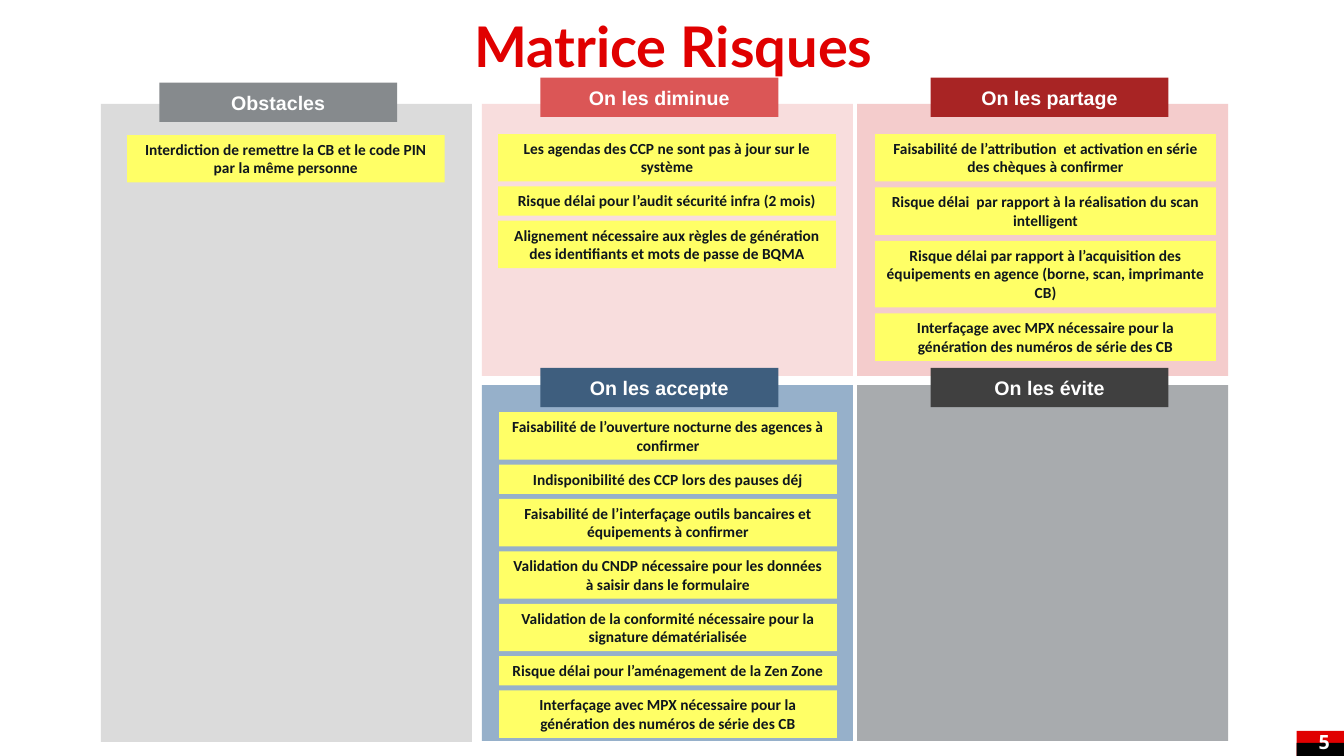
from dataclasses import dataclass

from pptx import Presentation
from pptx.dml.color import RGBColor
from pptx.enum.shapes import MSO_SHAPE as Preset
from pptx.enum.text import MSO_ANCHOR as Anchor, MSO_AUTO_SIZE as AutoSize, PP_ALIGN as Align
from pptx.shapes.autoshape import Shape
from pptx.slide import Slide
from pptx.util import Emu, Pt

EMU_PER_PX = 9144
HEADER_WIDTH, HEADER_HEIGHT = 236, 39
NOTE_HEIGHTS = {1: 29, 2: 47, 3: 66}
RED, BLACK, WHITE = "E00000", "000000", "FFFFFF"
NOTE_FILL, NOTE_INK = "FFFF66", "0F161D"


@dataclass(frozen=True)
class Box:
    left: int
    top: int
    width: int
    height: int


@dataclass(frozen=True)
class Note:
    text: str
    lines: int = 2


@dataclass(frozen=True)
class Quadrant:
    title: str
    panel: Box
    panel_fill: str
    header_left: int
    header_top: int
    header_fill: str
    note_left: int = 0
    note_top: int = 0
    note_width: int = 0
    note_gap: int = 5
    notes: tuple[Note, ...] = ()


INTERFACING = Note("Interfaçage avec MPX nécessaire pour la génération des numéros de série des CB")

QUADRANTS = (
    Quadrant("Obstacles", Box(100, 103, 368, 633), "DBDBDB", 158, 82, "868A8D", 126, 134, 315, 5, (
        Note("Interdiction de remettre la CB et le code PIN par la même personne"),
    )),
    Quadrant("On les diminue", Box(478, 103, 368, 270), "F8DDDD", 536, 77, "DB5656", 494, 133, 335, 5, (
        Note("Les agendas des CCP ne sont pas à jour sur le système"),
        Note("Risque délai pour l’audit sécurité infra (2 mois)", 1),
        Note("Alignement nécessaire aux règles de génération des identifiants et mots de passe de BQMA"),
    )),
    Quadrant("On les partage", Box(850, 103, 368, 270), "F4CCCC", 923, 77, "A82424", 868, 133, 338, 6, (
        Note("Faisabilité de l’attribution  et activation en série des chèques à confirmer"),
        Note("Risque délai  par rapport à la réalisation du scan intelligent"),
        Note("Risque délai par rapport à l’acquisition des équipements en agence "
             "(borne, scan, imprimante CB)", 3),
        INTERFACING,
    )),
    Quadrant("On les accepte", Box(478, 382, 368, 353), "96B0CA", 536, 365, "3E5E7E", 495, 409, 335, 5, (
        Note("Faisabilité de l’ouverture nocturne des agences à confirmer"),
        Note("Indisponibilité des CCP lors des pauses déj", 1),
        Note("Faisabilité de l’interfaçage outils bancaires et équipements à confirmer"),
        Note("Validation du CNDP nécessaire pour les données à saisir dans le formulaire"),
        Note("Validation de la conformité nécessaire pour la signature dématérialisée"),
        Note("Risque délai pour l’aménagement de la Zen Zone", 1),
        INTERFACING,
    )),
    Quadrant("On les évite", Box(850, 382, 368, 353), "A8ABAE", 923, 365, "404040"),
)


def px(value: int) -> Emu:
    """Turn whole pixels into EMU."""
    return Emu(value * EMU_PER_PX)


def color(hex_code: str) -> RGBColor:
    """Turn a hex string into a colour."""
    return RGBColor.from_string(hex_code)


def edges(box: Box) -> tuple[Emu, Emu, Emu, Emu]:
    """Give the left, top, width and height of a box in EMU."""
    return px(box.left), px(box.top), px(box.width), px(box.height)


def add_rectangle(slide: Slide, box: Box, fill: str) -> Shape:
    """Draw a flat rectangle without an outline."""
    shape = slide.shapes.add_shape(Preset.RECTANGLE, *edges(box))
    shape.shadow.inherit = False
    shape.fill.solid()
    shape.fill.fore_color.rgb = color(fill)
    shape.line.fill.background()
    return shape


def write(shape: Shape, text: str, font_name: str, size: int, ink: str,
          align: Align = Align.CENTER, anchor: Anchor = Anchor.MIDDLE) -> None:
    """Put one bold paragraph into a shape."""
    frame = shape.text_frame
    frame.word_wrap = True
    frame.vertical_anchor = anchor
    paragraph = frame.paragraphs[0]
    paragraph.text = text
    paragraph.alignment = align
    paragraph.font.name = font_name
    paragraph.font.size = Pt(size)
    paragraph.font.bold = True
    paragraph.font.color.rgb = color(ink)


def add_title(slide: Slide, text: str) -> None:
    """Write the slide title."""
    title = slide.shapes.add_textbox(*edges(Box(95, 21, 1146, 61)))
    write(title, text, "Lato", 40, RED)
    title.text_frame.paragraphs[0].line_spacing = 0.75


def add_page_number(slide: Slide, number: str) -> None:
    """Draw the two-tone corner mark and its page number."""
    add_rectangle(slide, Box(1286, 725, 47, 25), RED)
    add_rectangle(slide, Box(1286, 737, 47, 13), BLACK)
    label = slide.shapes.add_textbox(*edges(Box(1286, 723, 33, 25)))
    frame = label.text_frame
    frame.margin_left = frame.margin_top = frame.margin_right = frame.margin_bottom = 0
    write(label, number, "Open Sans", 14, WHITE, Align.RIGHT)


def add_header(slide: Slide, quadrant: Quadrant) -> None:
    """Draw the heading bar of a quadrant."""
    box = Box(quadrant.header_left, quadrant.header_top, HEADER_WIDTH, HEADER_HEIGHT)
    header = add_rectangle(slide, box, quadrant.header_fill)
    write(header, quadrant.title, "Arial", 14, WHITE)


def add_notes(slide: Slide, quadrant: Quadrant) -> None:
    """Stack the notes of a quadrant from top to bottom."""
    top = quadrant.note_top
    for note in quadrant.notes:
        height = NOTE_HEIGHTS[note.lines]
        box = Box(quadrant.note_left, top, quadrant.note_width, height)
        shape = add_rectangle(slide, box, NOTE_FILL)
        write(shape, note.text, "Calibri", 11, NOTE_INK, anchor=Anchor.TOP)
        shape.text_frame.auto_size = AutoSize.SHAPE_TO_FIT_TEXT
        top += height + quadrant.note_gap


def main() -> None:
    """Build the risk matrix slide."""
    presentation = Presentation()
    presentation.slide_width, presentation.slide_height = px(1333), px(750)
    slide = presentation.slides.add_slide(presentation.slide_layouts[6])
    add_page_number(slide, "5")
    add_title(slide, "Matrice Risques")
    for quadrant in QUADRANTS:
        add_rectangle(slide, quadrant.panel, quadrant.panel_fill)
    for quadrant in QUADRANTS:
        add_header(slide, quadrant)
        add_notes(slide, quadrant)
    presentation.save("out.pptx")


if __name__ == "__main__":
    main()
